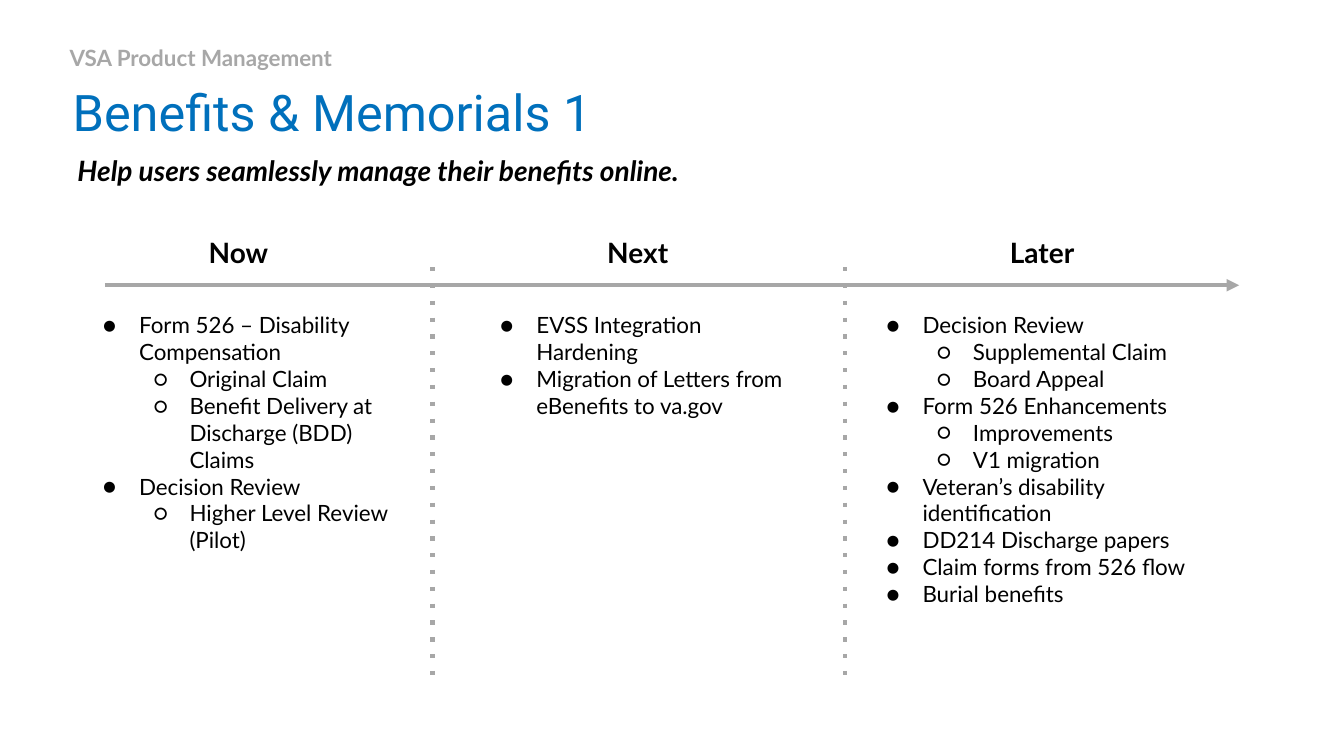
from lxml import etree
from pptx import Presentation
from pptx.dml.color import RGBColor
from pptx.enum.shapes import MSO_CONNECTOR
from pptx.enum.text import MSO_ANCHOR, MSO_AUTO_SIZE, PP_ALIGN
from pptx.oxml.ns import qn
from pptx.util import Inches, Pt

BLUE = RGBColor(0x00, 0x70, 0xBC)
GRAY = RGBColor(0xA7, 0xA7, 0xA7)
BLACK = RGBColor(0x00, 0x00, 0x00)
STRAIGHT = MSO_CONNECTOR.STRAIGHT
TOP, MIDDLE = MSO_ANCHOR.TOP, MSO_ANCHOR.MIDDLE
LEFT, CENTER = PP_ALIGN.LEFT, PP_ALIGN.CENTER
NO_AUTOFIT = MSO_AUTO_SIZE.NONE

TITLE = "Benefits & Memorials 1"
SUBTITLE = "VSA Product Management"
TAGLINE = "Help users seamlessly manage their benefits online."

COLUMNS = [
    {
        "heading": "Now",
        "heading_box": (1.67, 2.24, 1.39, 0.5),
        "list_box": (0.78, 2.99, 3.23, 3.9),
        "items": [
            (0, "Form 526 – Disability Compensation"),
            (1, "Original Claim"),
            (1, "Benefit Delivery at Discharge (BDD) Claims"),
            (0, "Decision Review"),
            (1, "Higher Level Review (Pilot)"),
        ],
    },
    {
        "heading": "Next",
        "heading_box": (5.63, 2.24, 1.39, 0.5),
        "list_box": (4.72, 2.99, 3.4, 3.73),
        "items": [
            (0, "EVSS Integration Hardening"),
            (0, "Migration of Letters from eBenefits to va.gov"),
        ],
    },
    {
        "heading": "Later",
        "heading_box": (9.16, 2.24, 2.35, 0.82),
        "list_box": (8.55, 2.99, 3.48, 3.59),
        "items": [
            (0, "Decision Review"),
            (1, "Supplemental Claim"),
            (1, "Board Appeal"),
            (0, "Form 526 Enhancements"),
            (1, "Improvements"),
            (1, "V1 migration"),
            (0, "Veteran’s disability identification"),
            (0, "DD214 Discharge papers"),
            (0, "Claim forms from 526 flow"),
            (0, "Burial benefits"),
        ],
    },
]
DIVIDERS = [4.29, 8.38]
BULLETS = "●○"

TITLE_FONT = {"name": "Roboto", "size": Pt(36), "bold": False}
SUBTITLE_FONT = {"name": "Lato", "size": Pt(16), "bold": True}
TAGLINE_FONT = {"name": "Lato", "size": Pt(20), "bold": True, "italic": True}
HEADING_FONT = {"name": "Lato", "size": Pt(20), "bold": True}
ITEM_FONT = {"name": "Lato", "size": Pt(16), "bold": False}


def prepare(shape, box, inset, anchor=TOP):
    """Place a text shape and return its text frame."""
    shape.left, shape.top, shape.width, shape.height = map(Inches, box)
    frame = shape.text_frame
    settings = {"word_wrap": True, "auto_size": NO_AUTOFIT, "vertical_anchor": anchor}
    for side in ("left", "top", "right", "bottom"):
        settings[f"margin_{side}"] = Inches(inset)
    for name, value in settings.items():
        setattr(frame, name, value)
    return frame


def write(paragraph, text, font, color, align=LEFT, spacing=1.0):
    """Fill a paragraph with formatted text."""
    paragraph.alignment = align
    paragraph.space_before = Pt(0)
    paragraph.line_spacing = spacing
    run = paragraph.add_run()
    run.text = text
    for name, value in font.items():
        setattr(run.font, name, value)
    run.font.color.rgb = color


def set_bullet(paragraph, level):
    """Give a paragraph the hanging bullet of its level."""
    paragraph.level = level
    properties = paragraph._p.get_or_add_pPr()
    properties.set("marL", str(Inches(0.5 * (level + 1))))
    properties.set("indent", str(Inches(-0.36)))
    color = etree.SubElement(properties, qn("a:buClr"))
    etree.SubElement(color, qn("a:srgbClr"), val=str(BLACK))
    etree.SubElement(properties, qn("a:buFont"), typeface="Lato")
    etree.SubElement(properties, qn("a:buChar"), char=BULLETS[level])


def add_line(slide, start, end, ending, **attributes):
    """Draw a gray line with one extra line element."""
    connector = slide.shapes.add_connector(STRAIGHT, *map(Inches, start + end))
    connector.line.color.rgb = GRAY
    connector.line.width = Pt(3)
    etree.SubElement(connector.line._get_or_add_ln(), qn(ending), **attributes)
    etree.SubElement(connector._element.spPr, qn("a:effectLst"))


def main():
    """Build the roadmap slide and save it."""
    presentation = Presentation()
    presentation.slide_width = Inches(13.33)
    presentation.slide_height = Inches(7.5)
    slide = presentation.slides.add_slide(presentation.slide_layouts.get_by_name("Comparison"))
    subtitle, *lists = [slide.placeholders[index] for index in range(1, 5)]

    frame = prepare(slide.shapes.title, (0.67, 0.75, 11, 0.66), 0.05)
    write(frame.paragraphs[0], TITLE, TITLE_FONT, BLUE)
    frame = prepare(subtitle, (0.64, 0.35, 7.48, 0.39), 0.05, MIDDLE)
    write(frame.paragraphs[0], SUBTITLE, SUBTITLE_FONT, GRAY, spacing=1.2)
    tagline = slide.shapes.add_textbox(0, 0, 0, 0)
    frame = prepare(tagline, (0.67, 1.42, 11.36, 0.82), 0.1)
    write(frame.paragraphs[0], TAGLINE, TAGLINE_FONT, BLACK)

    add_line(slide, (1.04, 2.83), (12.29, 2.83), "a:tailEnd", type="triangle")
    for x in DIVIDERS:
        add_line(slide, (x, 2.65), (x, 6.72), "a:prstDash", val="dot")

    for column, placeholder in zip(COLUMNS, lists):
        heading = slide.shapes.add_textbox(0, 0, 0, 0)
        frame = prepare(heading, column["heading_box"], 0.1)
        write(frame.paragraphs[0], column["heading"], HEADING_FONT, BLACK, CENTER)
        frame = prepare(placeholder, column["list_box"], 0.1)
        for number, (level, text) in enumerate(column["items"]):
            paragraph = frame.add_paragraph() if number else frame.paragraphs[0]
            set_bullet(paragraph, level)
            write(paragraph, text, ITEM_FONT, BLACK)

    presentation.save("out.pptx")


if __name__ == "__main__":
    main()
